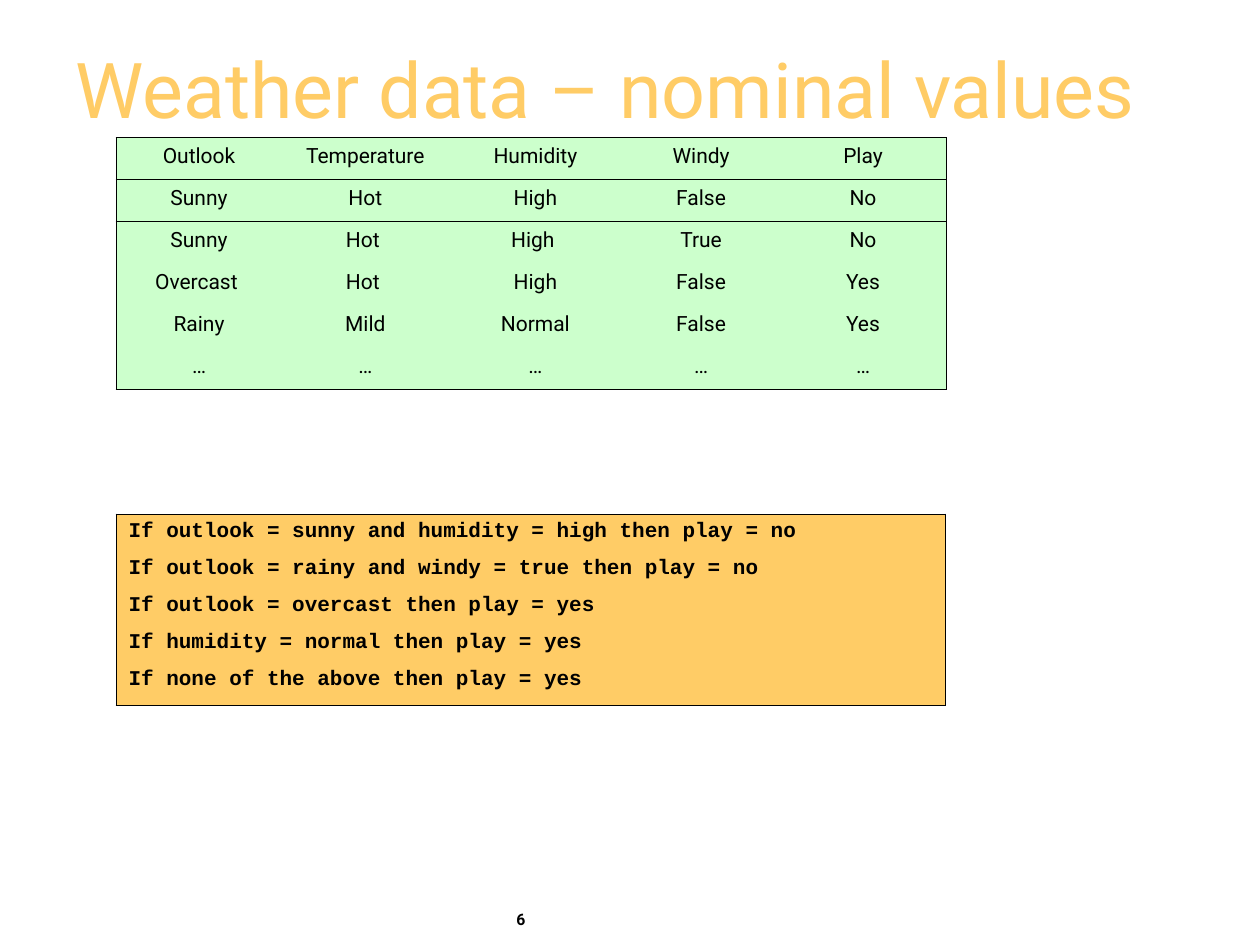
from dataclasses import dataclass

import pptx
import pptx.dml.color
import pptx.enum.text
import pptx.oxml
import pptx.oxml.ns
import pptx.util
from pptx.util import Inches, Pt

COLORS = {"text": "000000", "gold": "FFCC66", "mint": "CCFFCC"}
NO_STYLE = "{2D5ABB26-0587-4C30-8999-92F81FD0307C}"
LEFT = pptx.enum.text.PP_ALIGN.LEFT
CENTER = pptx.enum.text.PP_ALIGN.CENTER
TOP = pptx.enum.text.MSO_ANCHOR.TOP
MIDDLE = pptx.enum.text.MSO_ANCHOR.MIDDLE


@dataclass(frozen=True)
class TextStyle:
    size: float
    color: str = "text"
    font: str = "Roboto"
    bold: bool = False
    align: int = LEFT
    line_spacing: float = 1.0


@dataclass(frozen=True)
class Label:
    text: str
    left: float
    top: float
    width: float
    height: float
    style: TextStyle
    anchor: int = TOP


@dataclass(frozen=True)
class Grid:
    rows: list[list[str]]
    top: float
    widths: list[float]
    row_height: float
    fill: str
    style: TextStyle


WEATHER = Grid(
    rows=[
        ["Outlook", "Temperature", "Humidity", "Windy", "Play"],
        ["Sunny", "Hot", "High", "False", "No"],
        ["Sunny", "Hot ", "High ", "True", "No"],
        ["Overcast ", "Hot ", "High", "False", "Yes"],
        ["Rainy", "Mild", "Normal", "False", "Yes"],
        ["…"] * 5,
    ],
    top=1.09,
    widths=[1.32, 1.32, 1.38, 1.25, 1.32],
    row_height=2 / 6,
    fill="mint",
    style=TextStyle(12, align=CENTER),
)
RULES = Grid(
    rows=[["\n".join([
        "If outlook = sunny and humidity = high then play = no",
        "If outlook = rainy and windy = true then play = no",
        "If outlook = overcast then play = yes",
        "If humidity = normal then play = yes",
        "If none of the above then play = yes",
    ])]],
    top=4.08,
    widths=[6.58],
    row_height=1.5,
    fill="gold",
    style=TextStyle(12, font="Courier New", bold=True),
)
PAGE_NUMBER = Label("6", 4, 7.17, 1.02, 0.33, TextStyle(9, bold=True))
TITLE = Label("Weather data – nominal values", 0.5, 0.25, 9.08, 1,
              TextStyle(44, "gold", line_spacing=0.85), MIDDLE)


def rgb(color: str) -> pptx.dml.color.RGBColor:
    return pptx.dml.color.RGBColor.from_string(COLORS[color])


def write_text(frame, text: str, style: TextStyle) -> None:
    frame.text = text
    for index, paragraph in enumerate(frame.paragraphs):
        paragraph.alignment = style.align
        paragraph.line_spacing = style.line_spacing
        if index:
            paragraph.space_before = Pt(7.5)
        for run in paragraph.runs:
            run.font.name = style.font
            run.font.size = Pt(style.size)
            run.font.bold = style.bold
            run.font.color.rgb = rgb(style.color)


def add_label(slide, label: Label) -> None:
    box = slide.shapes.add_textbox(Inches(label.left), Inches(label.top),
                                   Inches(label.width), Inches(label.height))
    box.text_frame.word_wrap = True
    box.text_frame.vertical_anchor = label.anchor
    write_text(box.text_frame, label.text, label.style)


def add_border(cell, side: str) -> None:
    cell._tc.get_or_add_tcPr().append(pptx.oxml.parse_xml(
        f'<a:{side} {pptx.oxml.ns.nsdecls("a")} w="{Pt(0.45)}"><a:solidFill>'
        f'<a:srgbClr val="{COLORS["text"]}"/></a:solidFill></a:{side}>'))


def add_grid(slide, grid: Grid) -> None:
    row_count, column_count = len(grid.rows), len(grid.widths)
    frame = slide.shapes.add_table(
        row_count, column_count, Inches(0.92), Inches(grid.top),
        Inches(sum(grid.widths)), Inches(grid.row_height * row_count))
    table = frame.table
    table.first_row = table.horz_banding = False
    table._tbl.tblPr.find(pptx.oxml.ns.qn("a:tableStyleId")).text = NO_STYLE
    for column, width in zip(table.columns, grid.widths):
        column.width = Inches(width)
    for r, values in enumerate(grid.rows):
        table.rows[r].height = Inches(grid.row_height)
        for c, value in enumerate(values):
            cell = table.cell(r, c)
            borders = {
                "lnL": c == 0,
                "lnR": c == column_count - 1,
                "lnT": r <= 1,
                "lnB": r in (0, row_count - 1),
            }
            for side, visible in borders.items():
                if visible:
                    add_border(cell, side)
            cell.fill.solid()
            cell.fill.fore_color.rgb = rgb(grid.fill)
            write_text(cell.text_frame, value, grid.style)


def main() -> None:
    deck = pptx.Presentation()
    deck.slide_width, deck.slide_height = Inches(10), Inches(7.5)
    slide = deck.slides.add_slide(deck.slide_layouts[6])
    add_label(slide, PAGE_NUMBER)
    add_label(slide, TITLE)
    add_grid(slide, WEATHER)
    add_grid(slide, RULES)
    deck.save("out.pptx")


if __name__ == "__main__":
    main()
